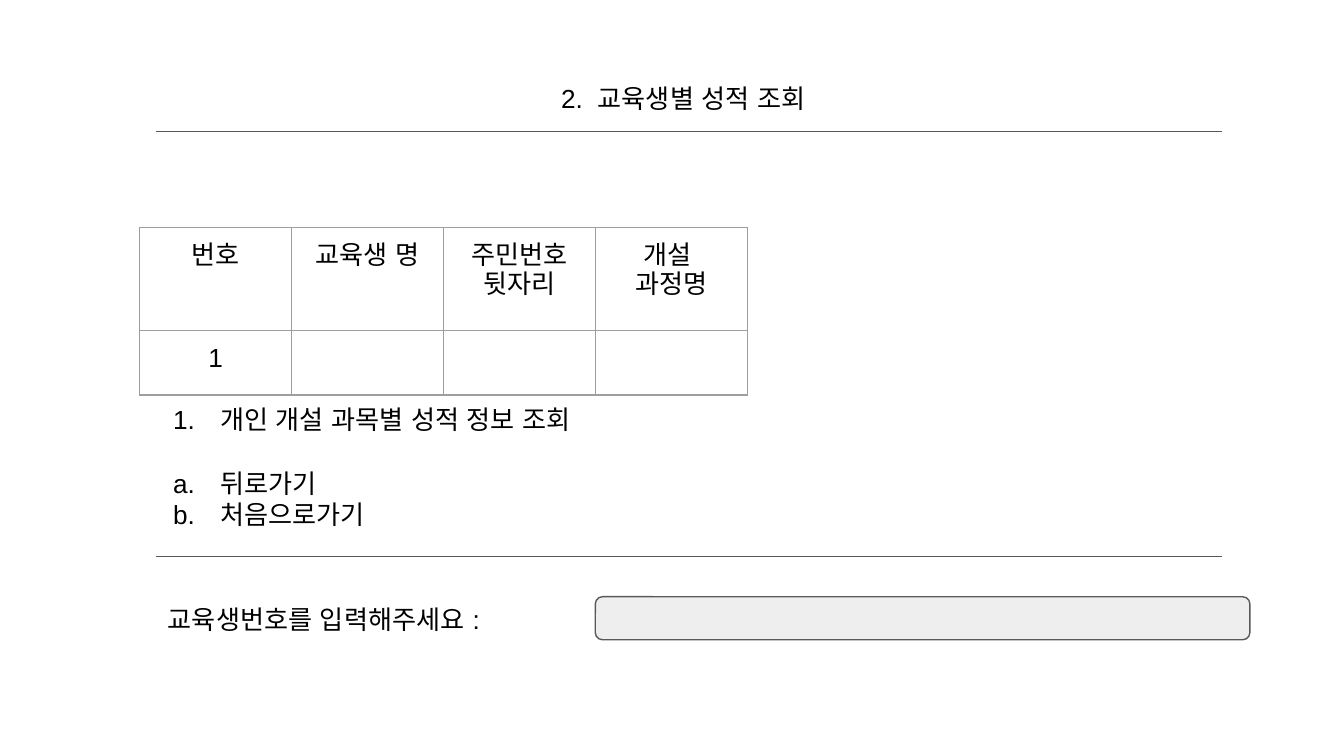
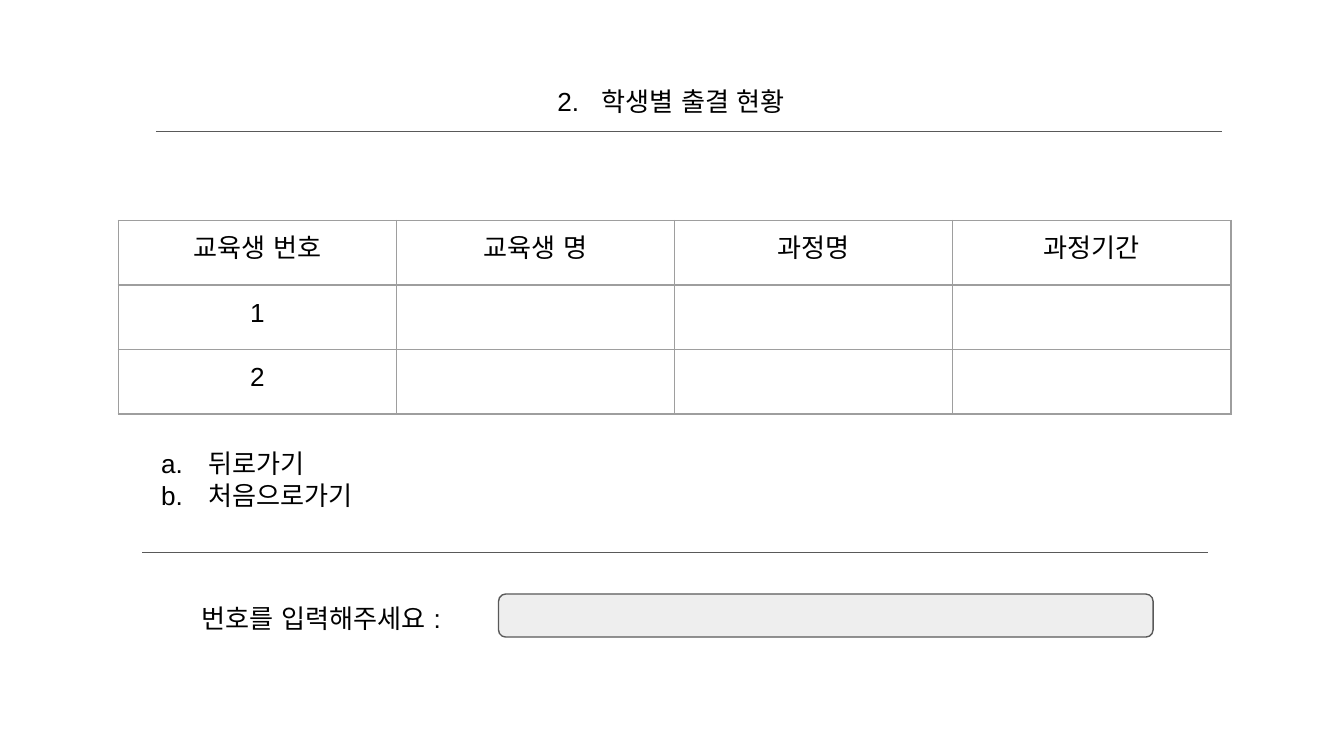
from lxml.etree import SubElement
from pptx import Presentation
from pptx.dml.color import RGBColor
from pptx.enum.shapes import MSO_CONNECTOR, MSO_SHAPE
from pptx.enum.text import PP_ALIGN as Align
from pptx.oxml.ns import qn
from pptx.util import Inches, Pt

COLORS = {"text": "000000", "rule": "595959", "field": "EEEEEE", "border": "9E9E9E"}
FONT, SIZE = "Arial", 14
LINE_PITCH = Pt(17)
BACK, HOME = ("alphaLcPeriod", "뒤로가기"), ("alphaLcPeriod", "처음으로가기")

SCREENS = [
    {
        "title": "교육생별 성적 조회", "title_box": (3.15, 0.48, 3.37, 0.7),
        "title_indent": 0.5, "number_gap": 4,
        "header": ["번호", "교육생 명", "주민번호\n뒷자리", "개설 \n과정명"],
        "numbers": ["1"], "table_at": (1.04, 1.69), "column": 1.13,
        "header_height": 0.77,
        "menu": [("arabicPeriod", "개인 개설 과목별 성적 정보 조회"), BACK, HOME],
        "menu_at": (1.04, 2.9), "rule_at": (1.16, 4.14),
        "prompt": "교육생번호를 입력해주세요 :", "prompt_box": (1.15, 4.39, 2.96, 0.4),
        "field_at": (4.43, 4.44),
    },
    {
        "title": "학생별 출결 현황", "title_box": (3.51, 0.5, 2.97, 0.7),
        "title_indent": 0, "number_gap": 8,
        "header": ["교육생 번호", "교육생 명", "과정명", "과정기간"],
        "numbers": ["1", "2"], "table_at": (0.88, 1.64), "column": 2.07,
        "header_height": 0.48,
        "menu": [BACK, HOME],
        "menu_at": (0.95, 3.23), "rule_at": (1.06, 4.11),
        "prompt": "번호를 입력해주세요 :", "prompt_box": (1.4, 4.38, 2.19, 0.4),
        "field_at": (3.71, 4.42),
    },
]


def write(frame, text, align=Align.LEFT, spacing=None, indent=0, bullets=(), number=None, gap=0):
    """Fill a text frame, one paragraph for each line of text."""
    frame.word_wrap = True
    frame.margin_left = frame.margin_right = Inches(0.1)
    frame.margin_top = frame.margin_bottom = Inches(0.1)
    for index, line in enumerate(text.split("\n")):
        paragraph = frame.add_paragraph() if index else frame.paragraphs[0]
        paragraph.alignment = align
        if spacing:
            paragraph.line_spacing = spacing
        properties = paragraph._p.get_or_add_pPr()
        if indent:
            properties.set("marL", str(Inches(indent)))
            properties.set("indent", "0")
        if bullets:
            if index and bullets[index] != bullets[index - 1]:
                paragraph.space_before = LINE_PITCH
            properties.set("indent", str(Inches(-0.35)))
            bullet_color = SubElement(properties, qn("a:buClr"))
            SubElement(bullet_color, qn("a:srgbClr"), val=COLORS["text"])
            SubElement(properties, qn("a:buSzPts"), val=str(SIZE * 100))
            SubElement(properties, qn("a:buFont"), typeface=FONT)
            SubElement(properties, qn("a:buAutoNum"), type=bullets[index])
        for part in [number, " ", line] if number else [line]:
            run = paragraph.add_run()
            run.text = part
            run.font.name, run.font.size = FONT, Pt(SIZE)
            run.font.color.rgb = RGBColor.from_string(COLORS["text"])
            run_properties = run._r.get_or_add_rPr()
            SubElement(run_properties, qn("a:ea"), typeface=FONT)
            if part == " ":
                run_properties.set("spc", str(gap * 100))


presentation = Presentation()
presentation.slide_width = Inches(10)
presentation.slide_height = presentation.slide_width * 9 // 16

for screen in SCREENS:
    slide = presentation.slides.add_slide(presentation.slide_layouts[6])
    shapes = slide.shapes

    # Title
    title = shapes.add_textbox(*map(Inches, screen["title_box"]))
    write(title.text_frame, screen["title"], align=Align.CENTER, spacing=1.15,
          indent=screen["title_indent"], number="2.", gap=screen["number_gap"])

    # Rules above and below the content
    for left, top in [(1.16, 0.98), screen["rule_at"]]:
        rule = shapes.add_connector(MSO_CONNECTOR.STRAIGHT, Inches(left), Inches(top),
                                    Inches(left + 7.93), Inches(top))
        rule.line.color.rgb = RGBColor.from_string(COLORS["rule"])
        rule.line.width = Pt(0.75)
        SubElement(rule._element.spPr, qn("a:effectLst"))

    # Table
    rows = [screen["header"]] + [[number, "", "", ""] for number in screen["numbers"]]
    heights = [screen["header_height"]] + [0.48] * len(screen["numbers"])
    left, top = screen["table_at"]
    table = shapes.add_table(len(rows), 4, Inches(left), Inches(top),
                             Inches(4 * screen["column"]), Inches(sum(heights))).table
    table.first_row = table.horz_banding = False
    for column in table.columns:
        column.width = Inches(screen["column"])
    for row, height, texts in zip(table.rows, heights, rows):
        row.height = Inches(height)
        for cell, text in zip(row.cells, texts):
            if text:
                write(cell.text_frame, text, align=Align.CENTER)
                cell.margin_top = cell.margin_bottom = Inches(0.1)
                cell.margin_left = cell.margin_right = Inches(0.1)
            else:
                SubElement(cell.text_frame.paragraphs[0]._p, qn("a:endParaRPr"),
                           sz=str(SIZE * 100))
            properties = cell._tc.get_or_add_tcPr()
            for side in ("lnL", "lnR", "lnT", "lnB"):
                border = SubElement(properties, qn(f"a:{side}"), w=str(Pt(0.75)))
                fill = SubElement(border, qn("a:solidFill"))
                SubElement(fill, qn("a:srgbClr"), val=COLORS["border"])
            cell.fill.background()

    # Menu
    left, top = screen["menu_at"]
    menu = shapes.add_textbox(Inches(left), Inches(top), Inches(8.06), Inches(0.76))
    bullets, labels = zip(*screen["menu"])
    write(menu.text_frame, "\n".join(labels), spacing=LINE_PITCH, indent=0.5, bullets=bullets)

    # Prompt and input field
    left, top = screen["field_at"]
    field = shapes.add_shape(MSO_SHAPE.ROUNDED_RECTANGLE, Inches(left), Inches(top),
                             Inches(4.87), Inches(0.32))
    field.adjustments[0] = 0.167
    field.shadow.inherit = False
    field.fill.solid()
    field.fill.fore_color.rgb = RGBColor.from_string(COLORS["field"])
    field.line.color.rgb = RGBColor.from_string(COLORS["rule"])
    field.line.width = Pt(0.75)
    prompt = shapes.add_textbox(*map(Inches, screen["prompt_box"]))
    write(prompt.text_frame, screen["prompt"], spacing=LINE_PITCH)

presentation.save("out.pptx")
